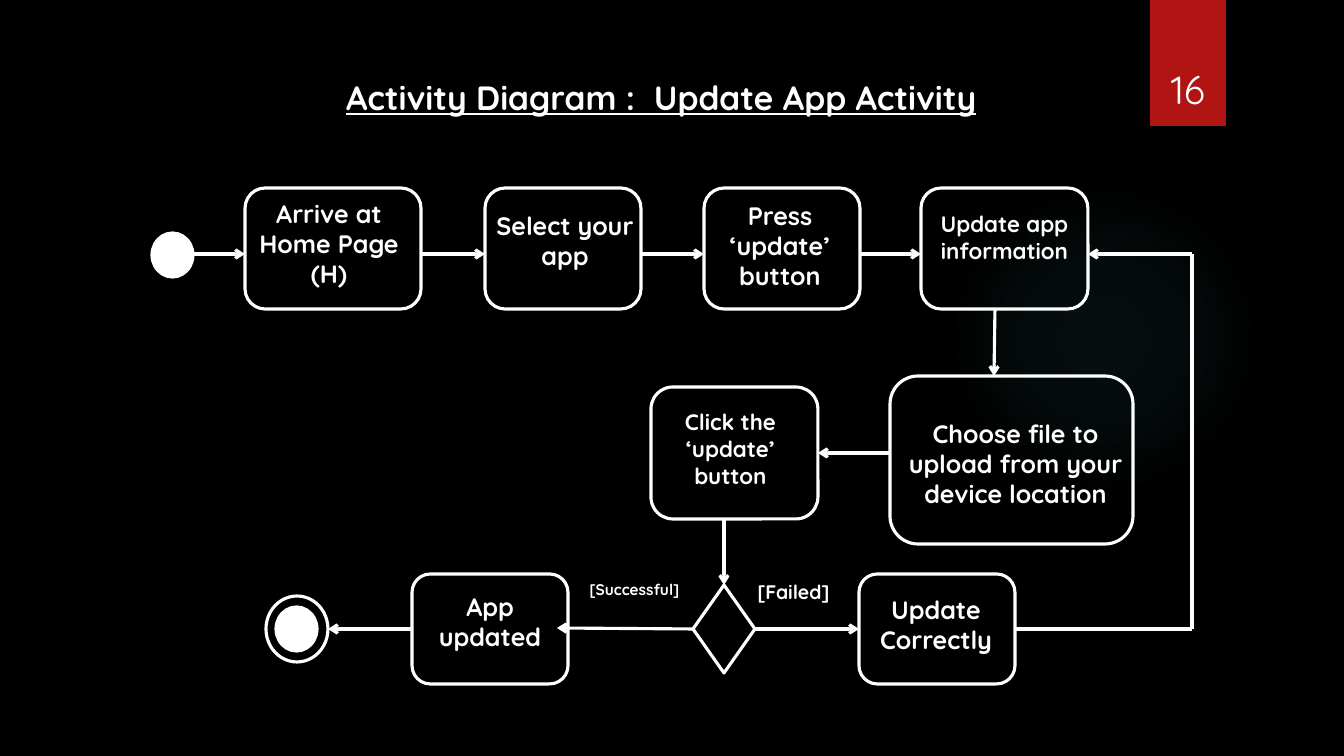
from lxml import etree
from pptx import Presentation
from pptx import util as u
from pptx.dml.color import RGBColor
from pptx.enum import shapes, text
from pptx.oxml import parse_xml
from pptx.oxml.ns import nsdecls, qn

# Content: lengths in px
TITLE = "Activity Diagram :  Update App Activity"
PAGE_NUMBER = "16"
FONT, WHITE, BLACK, RED = "Quicksand", "FFFFFF", "000000", "B01513"
GLOW = "50B9C1"
GLOW_STOPS = [(0, 7), (36, 6), (69, 0)]  # position %, opacity %

# name: (text, (left, top, width, height), size, text top, text shift to the right)
STEPS = {
    "arrive": ("Arrive at Home Page (H)", (245, 188, 176, 121), 18, 198, -4),
    "select": ("Select your app", (485, 188, 156, 121), 18, 210, 2),
    "press": ("Press ‘update’ button", (704, 188, 156, 121), 18, 200, -2),
    "inform": ("Update app information", (921, 188, 167, 121), 16, 210, 0),
    "choose": ("Choose file to upload from your device location",
               (890, 376, 243, 168), 18, 418, 4),
    "click": ("Click the ‘update’ button", (651, 387, 167, 132), 16, 408, -4),
    "correct": ("Update Correctly", (859, 574, 156, 110), 18, 594, -1),
    "updated": ("App updated", (412, 574, 156, 110), 18, 591, 0),
}
DECISION = (693, 585, 62, 88)
DOTS = [(152, 233, 41, 44), (276, 607, 41, 44)]
RING = (266, 596, 62, 66)
GUARDS = [("[Successful]", (567, 575, 135, 38), 11),
          ("[Failed]", (737, 575, 113, 44), 14)]

# Each end is a point or a (step name, side); the last item says if it has an arrowhead
TOP, LEFT, BOTTOM, RIGHT = range(4)
FLOWS = [
    ((193, 254), (245, 254), True),
    ((421, 254), (485, 254), True),
    ((641, 254), (704, 254), True),
    ((860, 254), (921, 254), True),
    ((995, 309), (994, 376), True),
    ((890, 453), ("click", RIGHT), True),
    ((724, 519), ("decision", TOP), True),
    (("decision", LEFT), (557, 628), True),
    (("decision", RIGHT), ("correct", LEFT), True),
    (("updated", LEFT), (328, 629), True),
    (("correct", RIGHT), (1192, 629), False),
    ((1192, 629), (1192, 254), False),
    ((1192, 254), (1088, 254), True),
]


def px(length):
    return u.Emu(round(length * 914400 / 100.8))


def colour(value):
    return RGBColor.from_string(value)


def write(box, words, size, bold=True, align=text.PP_ALIGN.CENTER,
          anchor=text.MSO_ANCHOR.TOP):
    frame = box.text_frame
    frame.word_wrap = True
    frame.auto_size = text.MSO_AUTO_SIZE.NONE
    frame.vertical_anchor = anchor
    para = frame.paragraphs[0]
    para.text = words
    para.alignment = align
    para.font.name, para.font.size, para.font.bold = FONT, u.Pt(size), bold
    para.font.color.rgb = colour(WHITE)
    return frame


def add_shape(kind, place, fill=None, outlined=True):
    shape = page.shapes.add_shape(kind, *map(px, place))
    shape.shadow.inherit = False
    if fill:
        shape.fill.solid()
        shape.fill.fore_color.rgb = colour(fill)
    else:
        shape.fill.background()
    if outlined:
        shape.line.color.rgb = colour(WHITE)
        shape.line.width = u.Pt(2.25)
    else:
        shape.line.fill.background()
    return shape


def add_step(words, place, size, text_top, shift):
    box = add_shape(kinds.ROUNDED_RECTANGLE, place)
    frame = write(box, words, size)
    corner = 0.0488 * min(place[2:])  # text inset of the rounded corner
    frame.margin_left, frame.margin_right = px(max(2 * shift, 0)), px(max(-2 * shift, 0))
    frame.margin_top, frame.margin_bottom = px(text_top - place[1] - corner), 0
    return box


def add_flow(start, end, arrow):
    points = [(0, 0) if isinstance(spot[0], str) else spot for spot in (start, end)]
    line = page.shapes.add_connector(shapes.MSO_CONNECTOR.STRAIGHT,
                                     *[px(n) for point in points for n in point])
    for spot, join in ((start, line.begin_connect), (end, line.end_connect)):
        if isinstance(spot[0], str):
            join(nodes[spot[0]], spot[1])
    line.line.color.rgb = colour(WHITE)
    line.line.width = u.Pt(2.25)
    if arrow:
        etree.SubElement(line.line._get_or_add_ln(), qn("a:tailEnd"), type="arrow")
    etree.SubElement(line._element.spPr, qn("a:effectLst"))


deck = Presentation()
deck.slide_width, deck.slide_height = px(1344), px(756)
page = deck.slides.add_slide(deck.slide_layouts[5])
page.background.fill.solid()
page.background.fill.fore_color.rgb = colour(BLACK)
kinds = shapes.MSO_SHAPE

# Background glow
glow = add_shape(kinds.OVAL, (949, 184, 310, 310), BLACK, outlined=False)
stops = "".join(
    f'<a:gs pos="{at * 1000}"><a:srgbClr val="{GLOW}">'
    f'<a:alpha val="{opacity * 1000}"/></a:srgbClr></a:gs>' for at, opacity in GLOW_STOPS)
gradient = parse_xml(
    f'<a:gradFill {nsdecls("a")}><a:gsLst>{stops}</a:gsLst><a:path path="circle">'
    '<a:fillToRect l="50000" t="50000" r="50000" b="50000"/></a:path></a:gradFill>')
solid = glow._element.spPr.find(qn("a:solidFill"))
solid.getparent().replace(solid, gradient)

# Title and page number
title = page.shapes.title
title.left, title.top, title.width, title.height = map(px, (336, 72, 763, 50))
write(title, TITLE, 24, align=text.PP_ALIGN.LEFT)
title.text_frame.paragraphs[0].font.underline = True
tab = add_shape(kinds.RECTANGLE, (1150, 0, 76, 126), RED, outlined=False)
write(tab, PAGE_NUMBER, 28, bold=False,
      anchor=text.MSO_ANCHOR.BOTTOM).margin_bottom = px(14)

# Steps, decision, start and end
nodes = {name: add_step(*step) for name, step in STEPS.items()}
nodes["decision"] = add_shape(kinds.DIAMOND, DECISION)
for dot in DOTS:
    add_shape(kinds.OVAL, dot, WHITE)
add_shape(kinds.OVAL, RING)

# Flows and their guards
for flow in FLOWS:
    add_flow(*flow)
for words, place, size in GUARDS:
    write(page.shapes.add_textbox(*map(px, place)), words, size)

deck.save("out.pptx")
